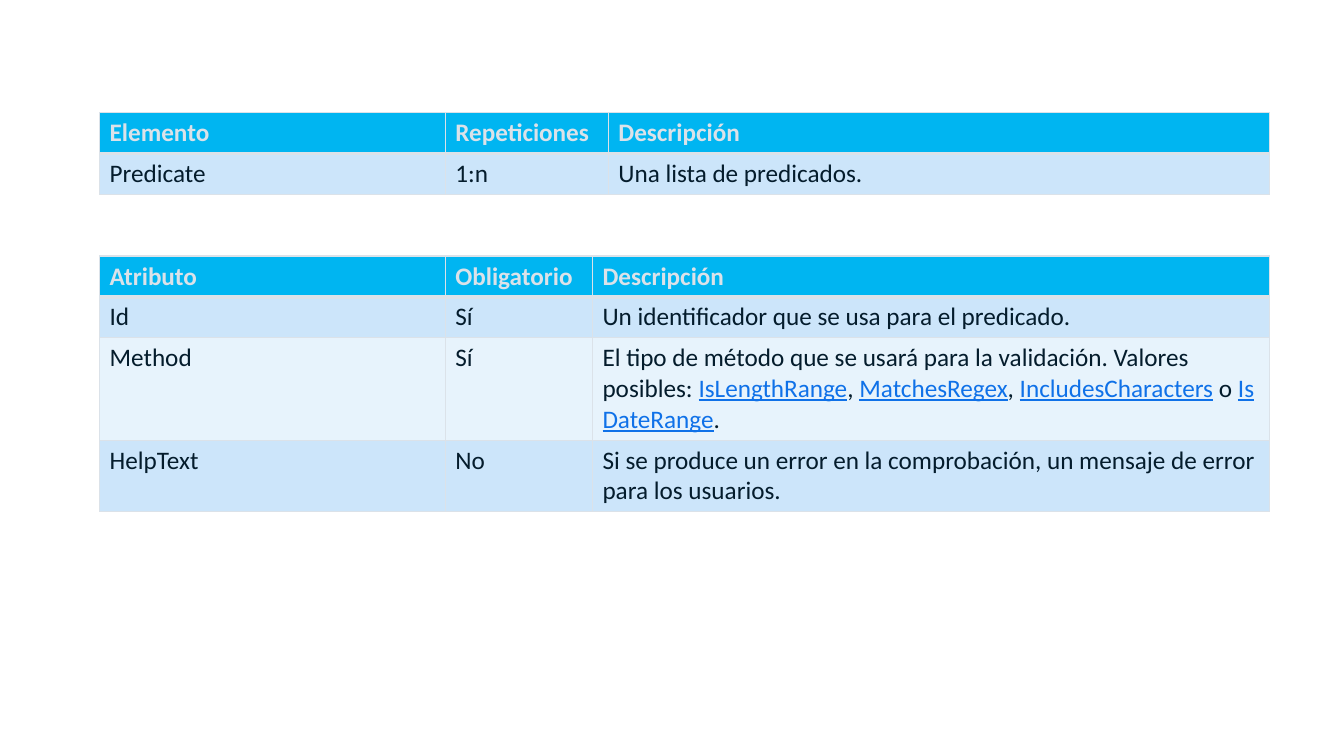
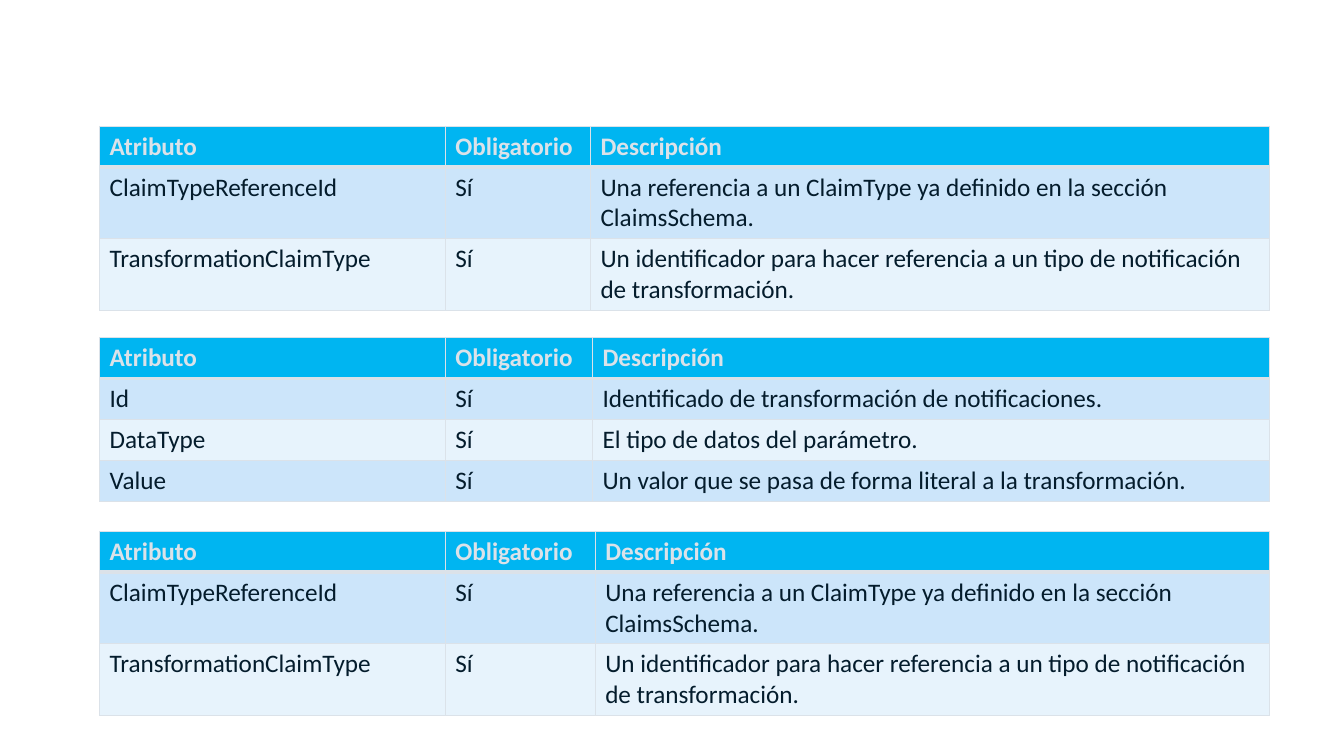
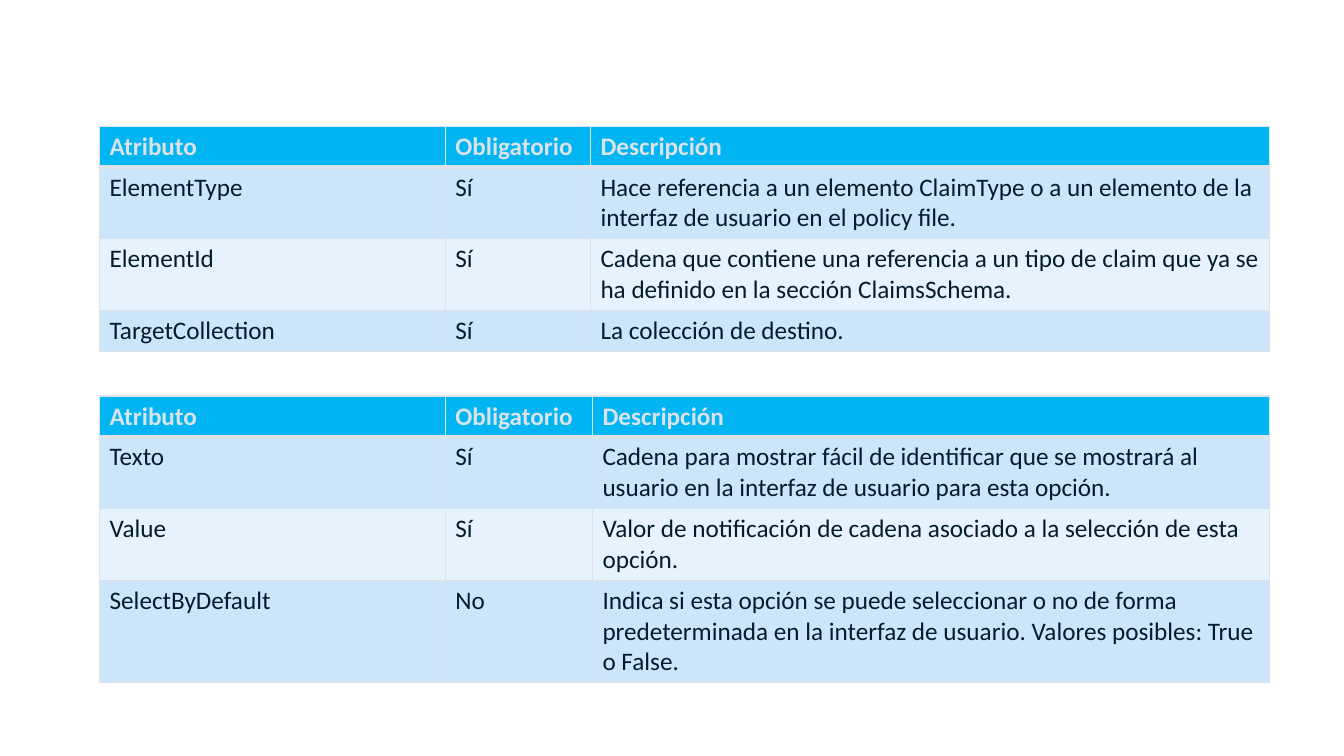
from pptx import Presentation as Deck
from pptx.dml.color import RGBColor as Rgb
from pptx.oxml import parse_xml as to_xml
from pptx.oxml.ns import nsdecls as ns
from pptx.util import Cm, Pt

SKY, PALE, MIST = "00B5F1", "CCE5FA", "E7F3FC"
GREY, INK, LINK = "DBE2E9", "041C2C", "0F71E8"
LEFT, WIDE, FIRST, ROW = 2.51, 29.49, 8.71, 1.03
BASE = {"name": "Calibri", "size": Pt(18), "bold": False, "underline": False}
HEAD = {**BASE, "bold": True}
URL = {**BASE, "underline": True}
FIELDS = ("Atributo", "Obligatorio", "Descripción")

PARTS = [
    ("Elemento", "Repeticiones", "Descripción"),
    ("Predicate", "1:n", "Una lista de predicados."),
]
RULES = [
    FIELDS,
    ("Id", "Sí", "Un identificador que se usa para el predicado."),
    ("Method", "Sí",
     "El tipo de método que se usará para la validación. Valores posibles:~"
     "|IsLengthRange|,~|MatchesRegex|,~|IncludesCharacters|~o~|IsDateRange|."),
    ("HelpText", "No",
     "Si se produce un error en la comprobación, un mensaje de error para los usuarios."),
]
CLAIMS = [
    FIELDS,
    ("ClaimTypeReferenceId", "Sí",
     "Una referencia a un ClaimType ya definido en la sección ClaimsSchema."),
    ("TransformationClaimType", "Sí",
     "Un identificador para hacer referencia a un tipo de notificación de transformación."),
]
INPUTS = [
    FIELDS,
    ("Id", "Sí", "Identificado de transformación de notificaciones."),
    ("DataType", "Sí", "El tipo de datos del parámetro."),
    ("Value", "Sí", "Un valor que se pasa de forma literal a la transformación."),
]
TARGETS = [
    FIELDS,
    ("ElementType", "Sí",
     "Hace referencia a un elemento ClaimType o a un elemento de la interfaz de usuario "
     "en el policy file."),
    ("ElementId", "Sí",
     "Cadena que contiene una referencia a un tipo de claim que ya se ha definido en la "
     "sección ClaimsSchema."),
    ("TargetCollection", "Sí", "La colección de destino."),
]
OPTIONS = [
    FIELDS,
    ("Texto", "Sí",
     "Cadena para mostrar fácil de identificar que se mostrará al usuario en la interfaz "
     "de usuario para esta opción."),
    ("Value", "Sí", "Valor de notificación de cadena asociado a la selección de esta opción."),
    ("SelectByDefault", "No",
     "Indica si esta opción se puede seleccionar o no de forma predeterminada en la "
     "interfaz de usuario. Valores posibles: True o False."),
]
SLIDES = [
    [(2.84, 4.11, PARTS), (6.45, 3.71, RULES)],
    [(3.18, 3.66, CLAIMS), (8.51, 3.71, INPUTS), (13.39, 3.78, CLAIMS)],
    [(3.18, 3.66, TARGETS), (9.98, 3.71, OPTIONS)],
]


def paint(item, tone):
    item.rgb = Rgb.from_string(tone)


def add_run(para, text, form, tone):
    run = para.add_run()
    run.text = text.replace("~", chr(160))
    for key, value in form.items():
        setattr(run.font, key, value)
    paint(run.font.color, tone)


def add_edges(cell, base):
    props = cell._tc.get_or_add_tcPr()
    for side, width in {"L": 1, "R": 1, "T": 1, "B": base}.items():
        props.append(to_xml(
            f'<a:ln{side} {ns("a")} w="{Pt(width)}"><a:solidFill>'
            f'<a:srgbClr val="{GREY}"/></a:solidFill></a:ln{side}>'))


def fill_cell(cell, text, row):
    top = row == 0
    add_edges(cell, 3 if top else 1)
    cell.fill.solid()
    paint(cell.fill.fore_color, SKY if top else PALE if row % 2 else MIST)
    para = cell.text_frame.paragraphs[0]
    for spot, part in enumerate(text.split("|")):
        if spot % 2:
            add_run(para, part, URL, LINK)
        else:
            add_run(para, part, HEAD if top else BASE, GREY if top else INK)


def add_grid(slide, top, middle, rows):
    frame = slide.shapes.add_table(
        len(rows), 3, Cm(LEFT), Cm(top), Cm(WIDE), Cm(ROW * len(rows)))
    grid = frame.table
    grid.horz_banding = False
    for col, width in zip(grid.columns, (FIRST, middle, WIDE - FIRST - middle)):
        col.width = Cm(width)
    for row, texts in enumerate(rows):
        grid.rows[row].height = Cm(ROW)
        for col, text in enumerate(texts):
            fill_cell(grid.cell(row, col), text, row)


def main():
    deck = Deck()
    deck.slide_width, deck.slide_height = Cm(33.87), Cm(19.05)
    for grids in SLIDES:
        slide = deck.slides.add_slide(deck.slide_layouts[6])
        for top, middle, rows in grids:
            add_grid(slide, top, middle, rows)
    deck.save("out.pptx")


if __name__ == "__main__":
    main()
